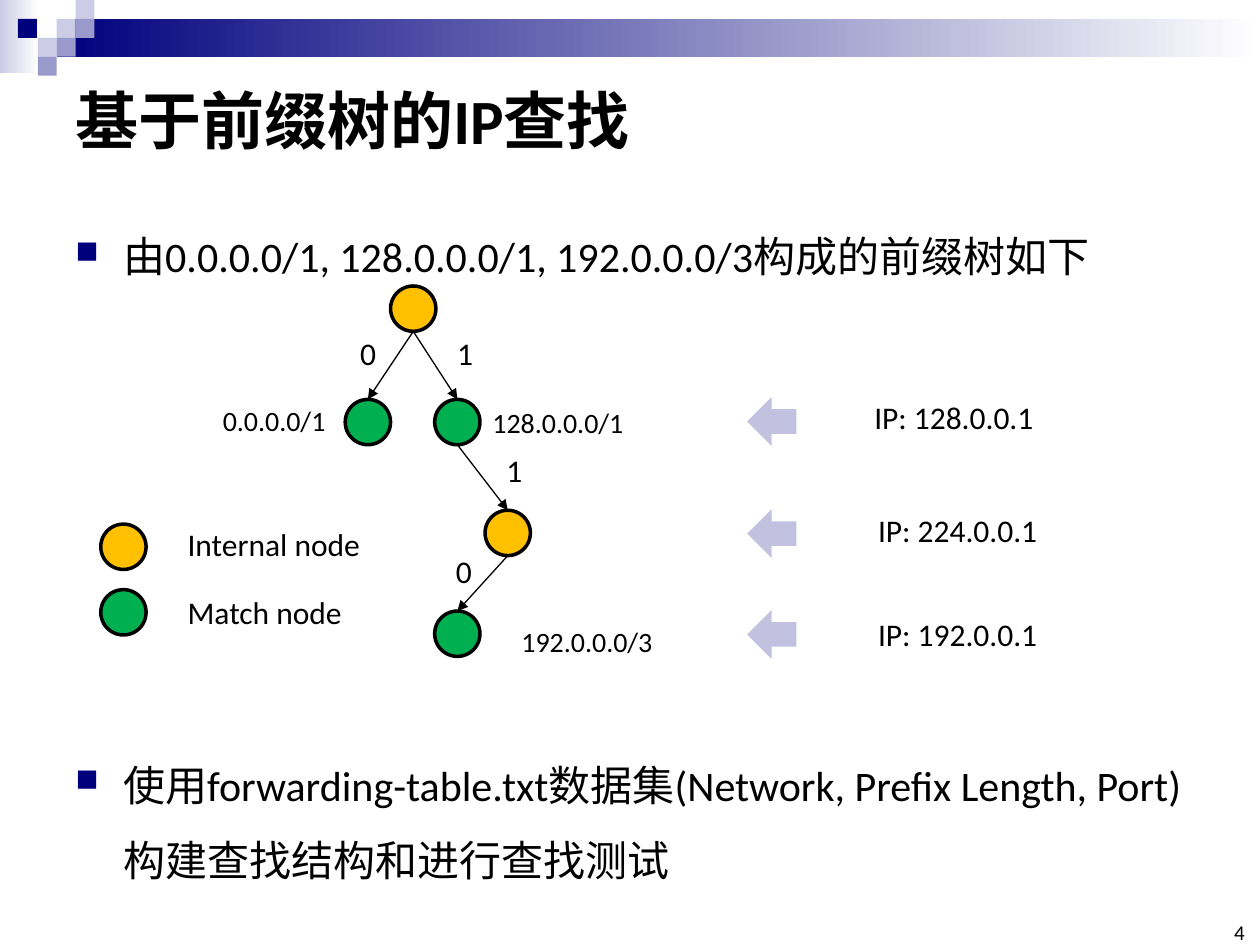
"""Build the slide on IP lookup with a prefix tree."""
from lxml import etree
from pptx import Presentation, util as u
from pptx.dml import color
from pptx.enum import lang, shapes, text
from pptx.oxml import ns

COLORS = {
    "navy": "00007D", "violet": "9999CC", "lavender": "CCCCE6", "arrow": "C2C2E0",
    "white": "FFFFFF", "black": "000000", "internal": "FFC000", "match": "00B050",
}
FONT = "Calibri"
NODE_SIZE = 0.36
ARROW_SIZE = 0.39
TILE = 0.15


def rgb(name):
    """Return the named colour."""
    return color.RGBColor.from_string(COLORS[name])


def add_xml(parent, tag, **attributes):
    """Append a drawing element to its parent."""
    return etree.SubElement(parent, ns.qn(tag), attributes)


def add_block(slide, kind, left, top, width, height, fill=None):
    """Add a preset shape without outline or shadow."""
    block = slide.shapes.add_shape(
        kind, u.Inches(left), u.Inches(top), u.Inches(width), u.Inches(height))
    block.shadow.inherit = False
    block.line.fill.background()
    if fill:
        block.fill.solid()
        block.fill.fore_color.rgb = rgb(fill)
    return block


def add_gradient(slide, left, top, width, height, start):
    """Add a bar that fades from a colour to white."""
    bar = add_block(slide, shapes.MSO_SHAPE.RECTANGLE, left, top, width, height)
    bar.fill.gradient()
    bar.fill.gradient_angle = 0
    for stop, name, position in zip(bar.fill.gradient_stops, (start, "white"), (0, 1)):
        stop.color.rgb = rgb(name)
        stop.position = position


def add_banner(slide):
    """Draw the fading bars and the small tiles at the top."""
    add_gradient(slide, 0, 0, 0.31, 0.58, "lavender")
    add_gradient(slide, 0.45, 0.15, 9.55, 0.3, "navy")
    tiles = [
        (3, 1, "lavender"), (4, 0, "lavender"), (4, 1, "violet"), (2, 2, "lavender"),
        (0.95, 1, "navy"), (3, 2, "violet"), (2, 3, "violet"),
    ]
    for column, row, fill in tiles:
        add_block(slide, shapes.MSO_SHAPE.RECTANGLE,
                  column * TILE, row * TILE, TILE, TILE, fill)


def add_text(slide, lines, left, top, width, height, size, bold=False, wrap=False):
    """Add a text box with one paragraph per line."""
    box = slide.shapes.add_textbox(
        u.Inches(left), u.Inches(top), u.Inches(width), u.Inches(height))
    frame = box.text_frame
    frame.text = "\n".join(lines)
    frame.word_wrap = wrap
    for para in frame.paragraphs:
        for span in para.runs:
            span.font.name = FONT
            span.font.size = u.Pt(size)
            span.font.bold = bold
            span.font.color.rgb = rgb("black")
            span.font.language_id = lang.MSO_LANGUAGE_ID.SIMPLIFIED_CHINESE
    return frame


def add_label(slide, label, left, top, width, size=18):
    """Add a short one-line label."""
    add_text(slide, [label], left, top, width, 0.4 if size == 18 else 0.37, size)


def add_bullets(slide, lines):
    """Add the two bulleted statements above and below the tree."""
    frame = add_text(slide, lines, 0.5, 1.58, 9, 5.51, 24, wrap=True)
    for para in frame.paragraphs:
        para.line_spacing = 1.5
        properties = para._p.get_or_add_pPr()
        properties.set("marL", str(u.Inches(0.38)))
        properties.set("indent", str(-u.Inches(0.38)))
        bullet_color = add_xml(properties, "a:buClr")
        add_xml(bullet_color, "a:srgbClr", val=COLORS["navy"])
        add_xml(properties, "a:buSzPct", val="75000")
        add_xml(properties, "a:buChar", char="■")
    frame.paragraphs[-1].space_before = u.Pt(259)


def add_node(slide, left, top, kind):
    """Add a round tree node of the given kind."""
    node = add_block(slide, shapes.MSO_SHAPE.OVAL, left, top, NODE_SIZE, NODE_SIZE, kind)
    node.line.color.rgb = rgb("black")
    node.line.width = u.Pt(2)
    return node


def add_edge(slide, parent, child):
    """Draw an arrow from the bottom of a parent to the top of its child."""
    edge = slide.shapes.add_connector(
        shapes.MSO_CONNECTOR.STRAIGHT,
        parent.left + parent.width // 2, parent.top + parent.height,
        child.left + child.width // 2, child.top)
    edge.end_connect(child, 0)
    edge.line.color.rgb = rgb("black")
    edge.line.width = u.Pt(0.75)
    add_xml(edge.line._get_or_add_ln(), "a:tailEnd", type="triangle")
    add_xml(edge._element.spPr, "a:effectLst")


def add_tree(slide):
    """Draw the prefix tree with its bits and prefixes."""
    places = {
        "root": (3.1, 2.27, "internal"), "0": (2.74, 3.17, "match"),
        "1": (3.45, 3.17, "match"), "11": (3.85, 4.05, "internal"),
        "110": (3.45, 4.85, "match"),
    }
    nodes = {name: add_node(slide, *place) for name, place in places.items()}
    for parent, child in [("root", "0"), ("root", "1"), ("1", "11"), ("11", "110")]:
        add_edge(slide, nodes[parent], nodes[child])
    for bit, left, top in [("0", 2.76, 2.6), ("1", 3.53, 2.6),
                           ("1", 3.92, 3.53), ("0", 3.52, 4.33)]:
        add_label(slide, bit, left, top, 0.33)
    for prefix, left, top, width in [("128.0.0.0/1", 3.81, 3.17, 1.25),
                                     ("0.0.0.0/1", 1.67, 3.15, 1.03),
                                     ("192.0.0.0/3", 4.04, 4.91, 1.25)]:
        add_label(slide, prefix, left, top, width, 16)


def add_lookups(slide):
    """Place each looked-up address beside an arrow to its tree level."""
    for address, left, top, arrow_top in [("128.0.0.1", 6.84, 3.11, 3.15),
                                          ("224.0.0.1", 6.87, 4.01, 4.04),
                                          ("192.0.0.1", 6.87, 4.83, 4.84)]:
        add_block(slide, shapes.MSO_SHAPE.LEFT_ARROW,
                  5.93, arrow_top, ARROW_SIZE, ARROW_SIZE, "arrow")
        add_label(slide, f"IP: {address}", left, top, 1.48)


def add_legend(slide):
    """Explain the two node colours."""
    for kind, label, node_top, label_top, width in [
            ("internal", "Internal node", 4.16, 4.12, 1.59),
            ("match", "Match node", 4.68, 4.66, 1.44)]:
        add_node(slide, 0.8, node_top, kind)
        add_label(slide, label, 1.39, label_top, width)


def add_page_number(slide, number):
    """Add the page number in the bottom right corner."""
    frame = add_text(slide, [number], 9.65, 7.33, 0.23, 0.17, 12)
    frame.margin_left = frame.margin_right = frame.margin_top = frame.margin_bottom = 0
    frame.vertical_anchor = text.MSO_ANCHOR.BOTTOM
    frame.paragraphs[0].alignment = text.PP_ALIGN.RIGHT


def main():
    """Build the deck and save it."""
    deck = Presentation()
    deck.slide_width, deck.slide_height = u.Inches(10), u.Inches(7.5)
    slide = deck.slides.add_slide(deck.slide_layouts[6])
    add_banner(slide)
    title = add_text(slide, ["基于前缀树的IP查找"], 0.5, 0.5, 9, 0.89, 36, bold=True, wrap=True)
    title.vertical_anchor = text.MSO_ANCHOR.MIDDLE
    add_bullets(slide, [
        "由0.0.0.0/1, 128.0.0.0/1, 192.0.0.0/3构成的前缀树如下",
        "使用forwarding-table.txt数据集(Network, Prefix Length, Port)构建查找结构和进行查找测试",
    ])
    add_page_number(slide, "4")
    add_tree(slide)
    add_lookups(slide)
    add_legend(slide)
    deck.save("out.pptx")


if __name__ == "__main__":
    main()
